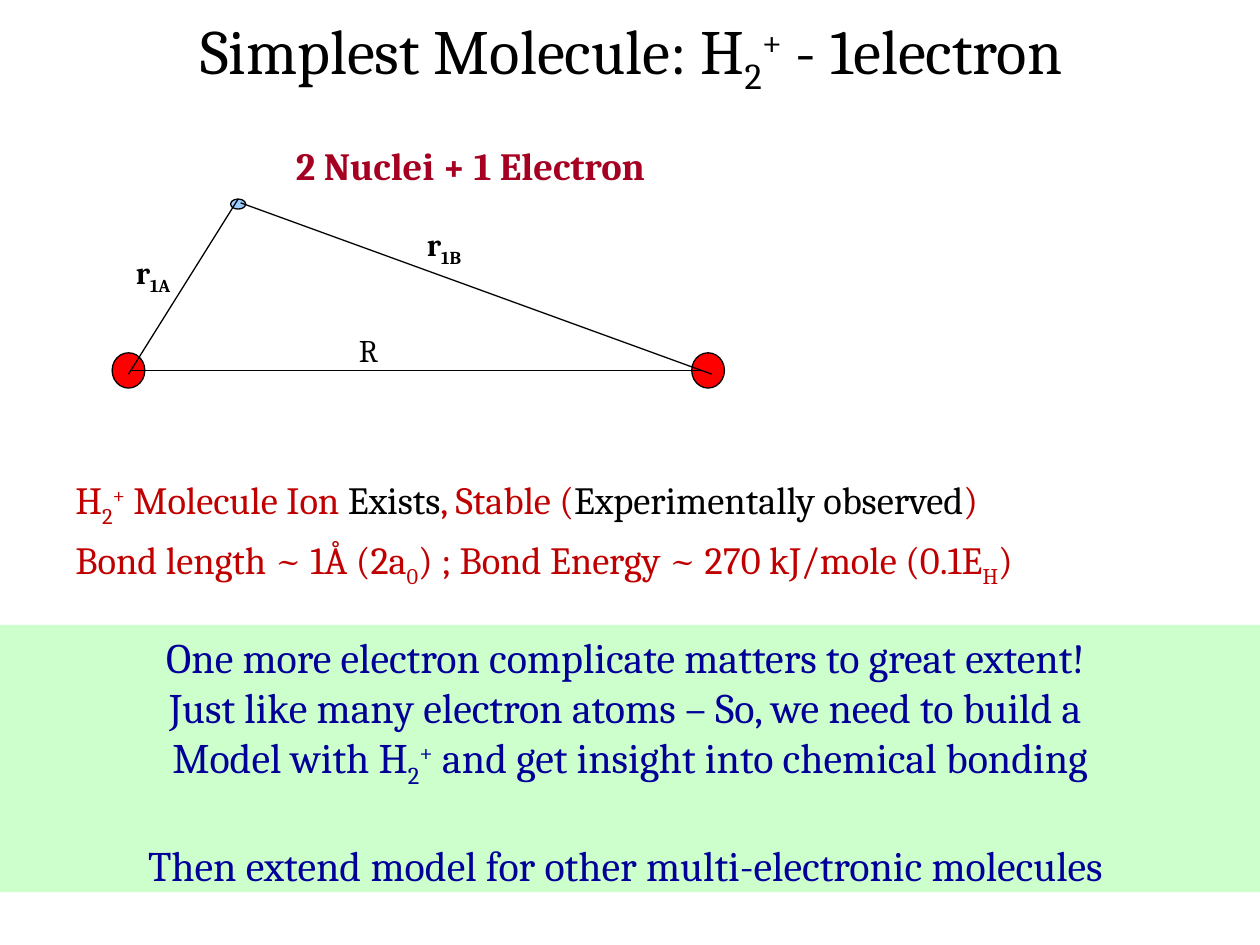
from dataclasses import dataclass

from lxml.etree import SubElement
from pptx import Presentation
from pptx.dml.color import RGBColor
from pptx.enum.shapes import MSO_CONNECTOR, MSO_SHAPE
from pptx.enum.text import MSO_ANCHOR, PP_ALIGN
from pptx.oxml.ns import qn
from pptx.util import Inches, Pt

SUBSCRIPT, SUPERSCRIPT = -25000, 30000
TWO, PLUS = ("2", SUBSCRIPT), ("+", SUPERSCRIPT)


@dataclass(frozen=True)
class Theme:
    font: str = "Cambria"
    black: str = "000000"
    nucleus: str = "FF0000"
    electron: str = "99CCFF"
    heading: str = "A50021"
    fact: str = "C00000"
    panel: str = "CCFFCC"
    message: str = "000099"
    title_size: int = 36
    message_size: int = 24
    fact_size: int = 22
    label_size: int = 18
    line_width: float = 0.75


class SlideBuilder:
    columns, rows = 100, 75

    def __init__(self, presentation, theme):
        self.theme = theme
        self.cell_width = presentation.slide_width / self.columns
        self.cell_height = presentation.slide_height / self.rows
        self.slide = presentation.slides.add_slide(presentation.slide_layouts[5])

    def place(self, left, top, width, height):
        return (round(left * self.cell_width), round(top * self.cell_height),
                round(width * self.cell_width), round(height * self.cell_height))

    def fill_text(self, text_frame, paragraphs, size, color, bold=False,
                  alignment=PP_ALIGN.LEFT, gaps=()):
        for index, pieces in enumerate(paragraphs):
            paragraph = text_frame.paragraphs[0] if index == 0 else text_frame.add_paragraph()
            paragraph.alignment = alignment
            if index and gaps:
                paragraph.space_before = Pt(gaps[index])
            for piece in pieces:
                text, baseline, run_color = piece if len(piece) == 3 else (*piece, color)
                run = paragraph.add_run()
                run.text = text
                run.font.name = self.theme.font
                run.font.size = Pt(size)
                run.font.bold = bold
                run.font.color.rgb = RGBColor.from_string(run_color)
                if baseline:
                    run.font._element.set("baseline", str(baseline))

    def title(self, box, pieces):
        shape = self.slide.shapes.title
        shape.left, shape.top, shape.width, shape.height = self.place(*box)
        shape.text_frame.vertical_anchor = MSO_ANCHOR.MIDDLE
        self.fill_text(shape.text_frame, [pieces], self.theme.title_size,
                       self.theme.black, alignment=PP_ALIGN.CENTER)

    def text(self, box, paragraphs, size, color, **style):
        shape = self.slide.shapes.add_textbox(*self.place(*box))
        shape.text_frame.word_wrap = False
        self.fill_text(shape.text_frame, paragraphs, size, color, **style)

    def filled(self, kind, box, color):
        shape = self.slide.shapes.add_shape(kind, *self.place(*box))
        shape.shadow.inherit = False
        shape.fill.solid()
        shape.fill.fore_color.rgb = RGBColor.from_string(color)
        return shape

    def particle(self, box, color):
        shape = self.filled(MSO_SHAPE.OVAL, box, color)
        self.outline(shape.line)

    def outline(self, line):
        line.color.rgb = RGBColor.from_string(self.theme.black)
        line.width = Pt(self.theme.line_width)

    def distance(self, start, end):
        connector = self.slide.shapes.add_connector(
            MSO_CONNECTOR.STRAIGHT, *self.place(*start, *end))
        self.outline(connector.line)
        SubElement(connector._element.spPr, qn("a:effectLst"))

    def panel(self, box, paragraphs, gaps):
        shape = self.filled(MSO_SHAPE.RECTANGLE, box, self.theme.panel)
        shape.line.fill.background()
        shape.text_frame.word_wrap = True
        shape.text_frame.vertical_anchor = MSO_ANCHOR.TOP
        self.fill_text(shape.text_frame, paragraphs, self.theme.message_size,
                       self.theme.message, alignment=PP_ALIGN.CENTER, gaps=gaps)


def main():
    presentation = Presentation()
    presentation.slide_width, presentation.slide_height = Inches(10), Inches(7.5)
    theme = Theme()
    builder = SlideBuilder(presentation, theme)

    builder.title((5.1, 0, 90, 8.6),
                  [("Simplest Molecule: H", 0), TWO, PLUS, (" - 1electron", 0)])

    for left in (8.9, 54.9):
        builder.particle((left, 28, 2.6, 2.8), theme.nucleus)
    builder.particle((18.3, 15.8, 1.2, 0.8), theme.electron)
    for start, end in (((10.5, 29.4), (55.7, 29.4)),
                       ((10.2, 29.7), (18.9, 15.8)),
                       ((19.1, 16.1), (56.5, 29.7))):
        builder.distance(start, end)

    for box, pieces, bold in (
            ((27.5, 25.8, 7, 4), [("R", 0)], False),
            ((9.8, 19.6, 5.4, 4), [("r", 0), ("1A", SUBSCRIPT)], True),
            ((32.9, 17.4, 9.3, 4), [("r", 0), ("1B", SUBSCRIPT)], True)):
        builder.text(box, [pieces], theme.label_size, theme.black, bold=bold)

    builder.text((22.5, 10.8, 34.3, 4.7), [[("2 Nuclei + 1 Electron", 0)]],
                 theme.fact_size, theme.heading, bold=True)

    builder.text((5, 37.3, 84.9, 8.4), [
        [("H", 0), TWO, PLUS, (" Molecule Ion ", 0), ("Exists", 0, theme.black),
         (", Stable (", 0), ("Experimentally observed", 0, theme.black), (")", 0)],
        [("Bond length ~ 1Å (2a", 0), ("0", SUBSCRIPT),
         (") ; Bond Energy ~ 270 kJ/mole (0.1E", 0), ("H", SUBSCRIPT), (")", 0)],
    ], theme.fact_size, theme.fact, gaps=(0, 4.4))

    builder.panel((0, 49.6, 100, 21.2), [
        [("One more electron complicate matters to great extent! ", 0)],
        [("Just like many electron atoms – So, we need to build a ", 0)],
        [("Model with H", 0), TWO, PLUS, (" and get insight into chemical bonding", 0)],
        [("Then extend model for other multi-electronic molecules ", 0)],
    ], gaps=(0, 0, 0, 28.5))

    presentation.save("out.pptx")


if __name__ == "__main__":
    main()
